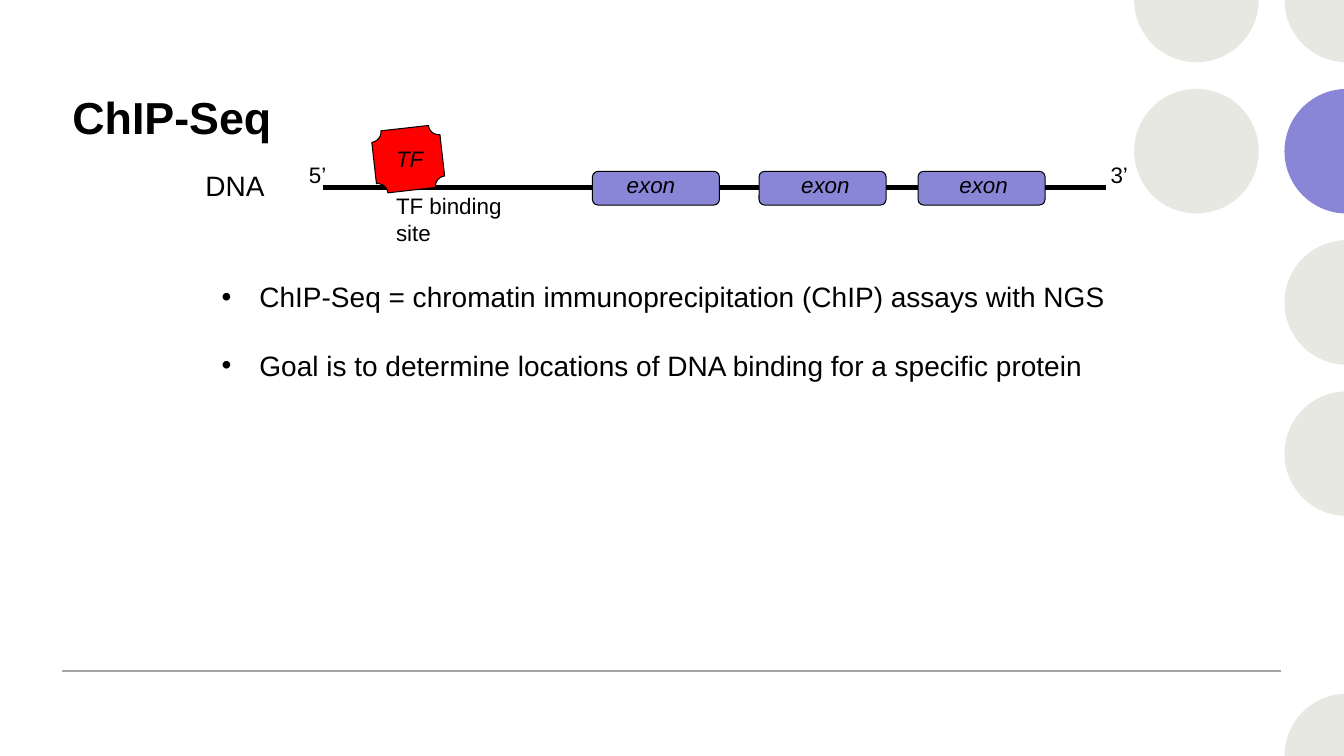
from math import acos, asin, cos, degrees, sin

from lxml.etree import SubElement
from pptx import Presentation
from pptx.dml.color import RGBColor
from pptx.enum.shapes import MSO_CONNECTOR, MSO_SHAPE
from pptx.enum.text import MSO_ANCHOR
from pptx.oxml.ns import qn
from pptx.util import Pt

BLACK = RGBColor(0, 0, 0)
GRAY = RGBColor(0xA6, 0xA6, 0xA6)
PALE = RGBColor(0xE8, 0xE8, 0xE2)
VIOLET = RGBColor(0x89, 0x85, 0xD7)
RED = RGBColor(0xFF, 0, 0)

# Content: text, box (left, top, width, height), font format
TITLE = ("ChIP-Seq", (44.6, 60.5, 577.4, 100), {"size": Pt(32), "bold": True})
BULLETS = [
    "ChIP-Seq = chromatin immunoprecipitation (ChIP) assays with NGS",
    "Goal is to determine locations of DNA binding for a specific protein",
]
BODY = (151.2, 196.2, 657.4, 128)
LARGE = {"size": Pt(20)}
SMALL = {"size": Pt(16)}
GENE = {"size": Pt(16), "italic": True}
LABELS = [
    ("DNA", (139.7, 116.7, 96.5, 31.5), LARGE),
    ("5’", (213.6, 111.6, 33.8, 26.6), SMALL),
    ("3’", (786.2, 111.6, 33.8, 26.6), SMALL),
    ("TF binding site", (275.8, 133.7, 90.7, 65.5), SMALL),
]
FACTOR = ("TF", (275.8, 100.1, 96.5, 26.6), GENE)
EXONS = [(423.2, 440.6), (542.2, 565.2), (655.8, 678.2)]  # box left, label left
FOOT = (44.6, 915.1, 479.3, GRAY, 1)
STRAND = (230.4, 789.8, 133.9, BLACK, 3)

# Circle grid: column centre, row, colour
WIDE, HIGH = 960, 540
RADIUS, PITCH = 44.5, 108
NEAR, FAR = 854.6, 962
DOTS = [(NEAR, 1, PALE), (NEAR, 0, PALE), (FAR, 5, PALE), (FAR, 3, PALE),
        (FAR, 2, PALE), (FAR, 1, VIOLET), (FAR, 0, PALE)]

deck = Presentation()
deck.slide_width, deck.slide_height = Pt(WIDE), Pt(HIGH)
slide = deck.slides.add_slide(deck.slide_layouts[6])
shapes = slide.shapes


def paint(shape, fill, edge=None):
    shape.shadow.inherit = False
    shape.fill.solid()
    shape.fill.fore_color.rgb = fill
    if edge is None:
        shape.line.fill.background()
    else:
        shape.line.color.rgb = edge
        shape.line.width = Pt(0.75)


def add_part(kind, box, fill, edge=None):
    shape = shapes.add_shape(kind, *map(Pt, box))
    paint(shape, fill, edge)
    return shape


def add_arc(points, start, sweep, fill):
    """Outline of one straight edge or corner, closed by an arc."""
    first, *rest = [(Pt(left), Pt(top)) for left, top in points]
    form = shapes.build_freeform(*first)
    form.add_line_segments(rest, close=True)
    shape = form.convert_to_shape()
    lines = list(shape.element.iter(qn("a:lnTo")))
    arc = SubElement(lines[0].getparent(), qn("a:arcTo"))
    for name, value in {"wR": Pt(RADIUS), "hR": Pt(RADIUS),
                        "stAng": round(start * 60000),
                        "swAng": round(sweep * 60000)}.items():
        arc.set(name, str(value))
    lines[0].addnext(arc)
    for line in lines[1:]:
        line.getparent().remove(line)
    paint(shape, fill)


def add_dot(mid, row, fill):
    down = row * PITCH
    left, right = mid - RADIUS, min(mid + RADIUS, WIDE)
    inside = RADIUS <= down <= HIGH - RADIUS
    if mid == NEAR and inside:
        add_part(MSO_SHAPE.OVAL, (left, down - RADIUS, 2 * RADIUS, 2 * RADIUS), fill)
    elif mid == NEAR:
        points = [(right, down), (left, down), (mid, RADIUS), (right, down)]
        add_arc(points, 180, -180, fill)
    else:
        turn = acos((WIDE - mid) / RADIUS)
        half, angle = RADIUS * sin(turn), degrees(turn)
        if inside:
            low, high = (WIDE, down + half), (WIDE, down - half)
            add_arc([low, high, (left, down), low], -angle, 2 * angle - 360, fill)
        else:
            side = -1 if down else 1
            points = [(WIDE, down), (left, down), (WIDE, down + side * half)]
            add_arc(points, 180, side * (angle - 180), fill)


def add_rule(left, right, top, color, width):
    rule = shapes.add_connector(
        MSO_CONNECTOR.STRAIGHT, Pt(left), Pt(top), Pt(right), Pt(top))
    rule.line.color.rgb = color
    rule.line.width = Pt(width)
    SubElement(rule.element.spPr, qn("a:effectLst"))


def add_text(text, box, form):
    frame = shapes.add_textbox(*map(Pt, box)).text_frame
    frame.word_wrap = True
    frame.vertical_anchor = MSO_ANCHOR.TOP
    frame.text = text
    for part in frame.paragraphs:
        for run in part.runs:
            run.font.color.rgb = BLACK
            for name, value in {"name": "Arial", **form}.items():
                setattr(run.font, name, value)
    return frame


# Backdrop
for dot in DOTS:
    add_dot(*dot)
add_rule(*FOOT)

# Title and bullets
add_text(*TITLE)
body = add_text("\n".join(BULLETS), BODY, LARGE)
for index, part in enumerate(body.paragraphs):
    props = part._p.get_or_add_pPr()
    props.set("marL", str(Pt(27)))
    props.set("indent", str(Pt(-27)))
    part.space_before = Pt(25 if index else 0)
    SubElement(props, qn("a:buFont"), typeface="Arial")
    SubElement(props, qn("a:buChar"), char="•")

# Gene diagram
add_text(*LABELS[0])
add_rule(*STRAND)
for left, start in EXONS:
    add_part(MSO_SHAPE.ROUNDED_RECTANGLE, (left, 122.4, 90.7, 24.1), VIOLET, BLACK)
for left, start in EXONS:
    add_text("exon", (start, 118.8, 96.5, 26.6), GENE)
for label in LABELS[1:]:
    add_text(*label)
plaque = add_part(MSO_SHAPE.PLAQUE, (267.1, 91.4, 49, 44.6), RED, BLACK)
plaque.rotation = 353.6
add_text(*FACTOR)

deck.save("out.pptx")
